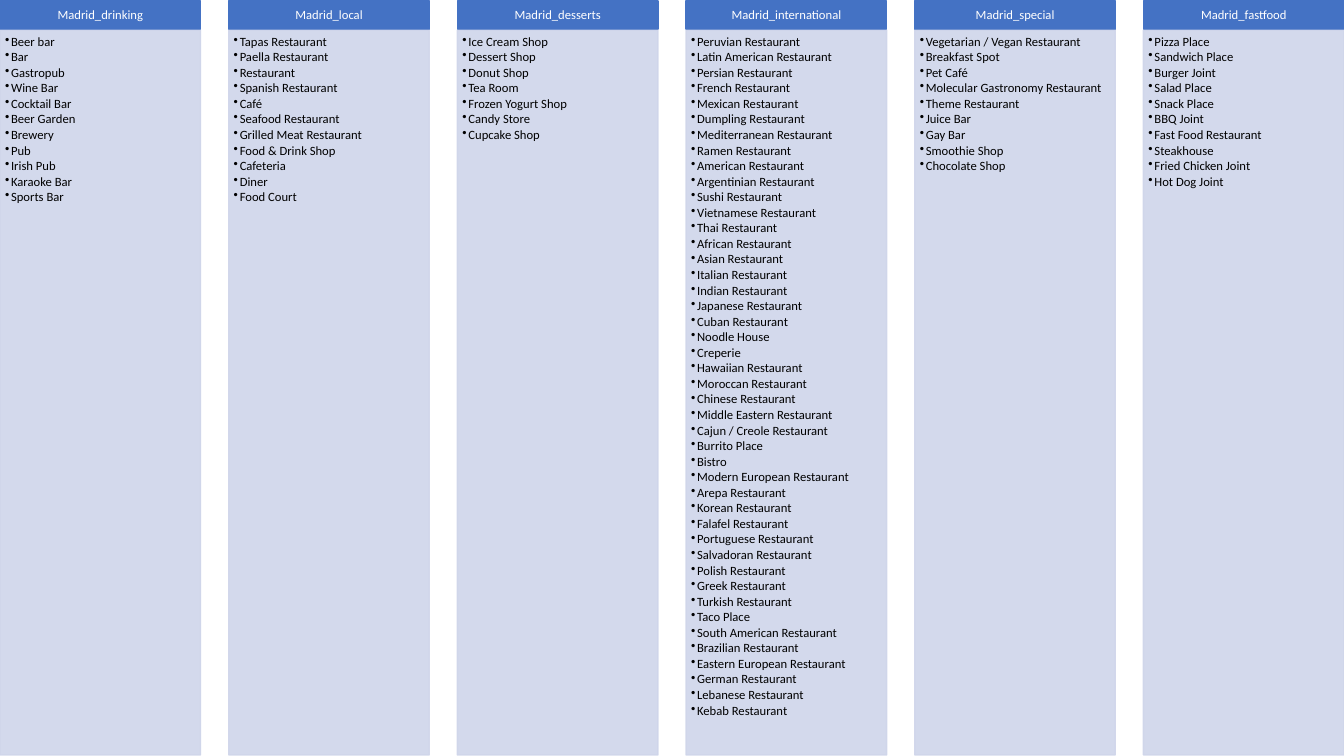
from dataclasses import dataclass

from lxml import etree
from pptx import Presentation
from pptx.dml.color import RGBColor
from pptx.dml.fill import FillFormat
from pptx.enum.shapes import MSO_SHAPE
from pptx.enum.text import MSO_ANCHOR, PP_ALIGN
from pptx.oxml.ns import qn
from pptx.shapes.autoshape import Shape
from pptx.slide import Slide
from pptx.util import Inches, Pt

RECTANGLE = MSO_SHAPE.RECTANGLE
TOP, MIDDLE = MSO_ANCHOR.TOP, MSO_ANCHOR.MIDDLE
LEFT, CENTER = PP_ALIGN.LEFT, PP_ALIGN.CENTER
BLANK_LAYOUT = 6


@dataclass(frozen=True)
class BoxStyle:
    """Look of one kind of box; lengths in inches, shares in percent."""
    fill: str
    opacity: int
    text: str
    anchor: MSO_ANCHOR
    align: PP_ALIGN
    insets: tuple[float, float, float, float]
    space_after: int
    bullet: str = ""


@dataclass(frozen=True)
class Theme:
    font: str = "Calibri"
    size: float = 9
    line_width: float = 1
    line_spacing: float = 0.9
    bullet_indent: float = 0.06
    header: BoxStyle = BoxStyle("4472C4", 100, "FFFFFF", MIDDLE, CENTER,
                                (0.07, 0.04, 0.07, 0.04), 35)
    venues: BoxStyle = BoxStyle("CFD5EA", 90, "000000", TOP, LEFT,
                                (0.05, 0.05, 0.07, 0.08), 15, "•")


@dataclass(frozen=True)
class Row:
    top: float
    height: float


@dataclass(frozen=True)
class Category:
    name: str
    venues: tuple[str, ...]


THEME = Theme()

CATEGORIES = (
    Category("Madrid_drinking", (
        "Beer bar", "Bar", "Gastropub", "Wine Bar", "Cocktail Bar", "Beer Garden",
        "Brewery", "Pub", "Irish Pub", "Karaoke Bar", "Sports Bar")),
    Category("Madrid_local", (
        "Tapas Restaurant", "Paella Restaurant", "Restaurant", "Spanish Restaurant",
        "Café", "Seafood Restaurant", "Grilled Meat Restaurant", "Food & Drink Shop",
        "Cafeteria", "Diner", "Food Court")),
    Category("Madrid_desserts", (
        "Ice Cream Shop", "Dessert Shop", "Donut Shop", "Tea Room",
        "Frozen Yogurt Shop", "Candy Store", "Cupcake Shop")),
    Category("Madrid_international", (
        "Peruvian Restaurant", "Latin American Restaurant", "Persian Restaurant",
        "French Restaurant", "Mexican Restaurant", "Dumpling Restaurant",
        "Mediterranean Restaurant", "Ramen Restaurant", "American Restaurant",
        "Argentinian Restaurant", "Sushi Restaurant", "Vietnamese Restaurant",
        "Thai Restaurant", "African Restaurant", "Asian Restaurant",
        "Italian Restaurant", "Indian Restaurant", "Japanese Restaurant",
        "Cuban Restaurant", "Noodle House", "Creperie", "Hawaiian Restaurant",
        "Moroccan Restaurant", "Chinese Restaurant", "Middle Eastern Restaurant",
        "Cajun / Creole Restaurant", "Burrito Place", "Bistro",
        "Modern European Restaurant", "Arepa Restaurant", "Korean Restaurant",
        "Falafel Restaurant", "Portuguese Restaurant", "Salvadoran Restaurant",
        "Polish Restaurant", "Greek Restaurant", "Turkish Restaurant", "Taco Place",
        "South American Restaurant", "Brazilian Restaurant",
        "Eastern European Restaurant", "German Restaurant", "Lebanese Restaurant",
        "Kebab Restaurant")),
    Category("Madrid_special", (
        "Vegetarian / Vegan Restaurant", "Breakfast Spot", "Pet Café",
        "Molecular Gastronomy Restaurant", "Theme Restaurant", "Juice Bar",
        "Gay Bar", "Smoothie Shop", "Chocolate Shop")),
    Category("Madrid_fastfood", (
        "Pizza Place", "Sandwich Place", "Burger Joint", "Salad Place", "Snack Place",
        "BBQ Joint", "Fast Food Restaurant", "Steakhouse", "Fried Chicken Joint",
        "Hot Dog Joint")),
)

# Grid: equal columns, each gap a fixed share of the column width
SLIDE_WIDTH, SLIDE_HEIGHT = 13.33, 7.5
GAP_SHARE = 0.14
COLUMN_COUNT = len(CATEGORIES)
COLUMN_WIDTH = SLIDE_WIDTH / (COLUMN_COUNT + (COLUMN_COUNT - 1) * GAP_SHARE)
COLUMN_PITCH = COLUMN_WIDTH * (1 + GAP_SHARE)
MARGIN = 0.01
HEADER_ROW = Row(MARGIN, 0.28)
LIST_TOP = HEADER_ROW.top + HEADER_ROW.height + MARGIN
LIST_ROW = Row(LIST_TOP, SLIDE_HEIGHT - MARGIN - LIST_TOP)


def paint(fill: FillFormat, color: str, opacity: int) -> None:
    """Set a solid colour and, below 100 percent, its opacity."""
    fill.solid()
    fill.fore_color.rgb = RGBColor.from_string(color)
    if opacity < 100:
        for node in fill._xPr.iter(qn("a:srgbClr")):
            if node.find(qn("a:alpha")) is None:
                etree.SubElement(node, qn("a:alpha"), val=str(opacity * 1000))


def format_text(box: Shape, style: BoxStyle) -> None:
    for para in box.text_frame.paragraphs:
        para.alignment = style.align
        para.line_spacing = THEME.line_spacing
        # Spacing as a share of the type size, and the bullet
        properties = para._p.get_or_add_pPr()
        spacing = etree.SubElement(properties, qn("a:spcAft"))
        etree.SubElement(spacing, qn("a:spcPct"), val=str(style.space_after * 1000))
        if style.bullet:
            para.level = 1
            indent = Inches(THEME.bullet_indent)
            properties.set("marL", str(indent))
            properties.set("indent", str(-indent))
            etree.SubElement(properties, qn("a:buChar"), char=style.bullet)
        for span in para.runs:
            span.font.name = THEME.font
            span.font.size = Pt(THEME.size)
            span.font.color.rgb = RGBColor.from_string(style.text)


def add_box(page: Slide, column: int, row: Row, text: str, style: BoxStyle) -> None:
    box = page.shapes.add_shape(
        RECTANGLE, Inches(column * COLUMN_PITCH), Inches(row.top),
        Inches(COLUMN_WIDTH), Inches(row.height))
    box.shadow.inherit = False
    paint(box.fill, style.fill, style.opacity)
    box.line.width = Pt(THEME.line_width)
    paint(box.line.fill, style.fill, style.opacity)
    frame = box.text_frame
    frame.word_wrap = True
    frame.vertical_anchor = style.anchor
    (frame.margin_left, frame.margin_top,
     frame.margin_right, frame.margin_bottom) = map(Inches, style.insets)
    frame.text = text
    format_text(box, style)


# Deck with one blank page
deck = Presentation()
deck.slide_width, deck.slide_height = Inches(SLIDE_WIDTH), Inches(SLIDE_HEIGHT)
page = deck.slides.add_slide(deck.slide_layouts[BLANK_LAYOUT])

# One header and one bulleted list per category
for column, category in enumerate(CATEGORIES):
    add_box(page, column, HEADER_ROW, category.name, THEME.header)
    add_box(page, column, LIST_ROW, "\n".join(category.venues), THEME.venues)

deck.save("out.pptx")
